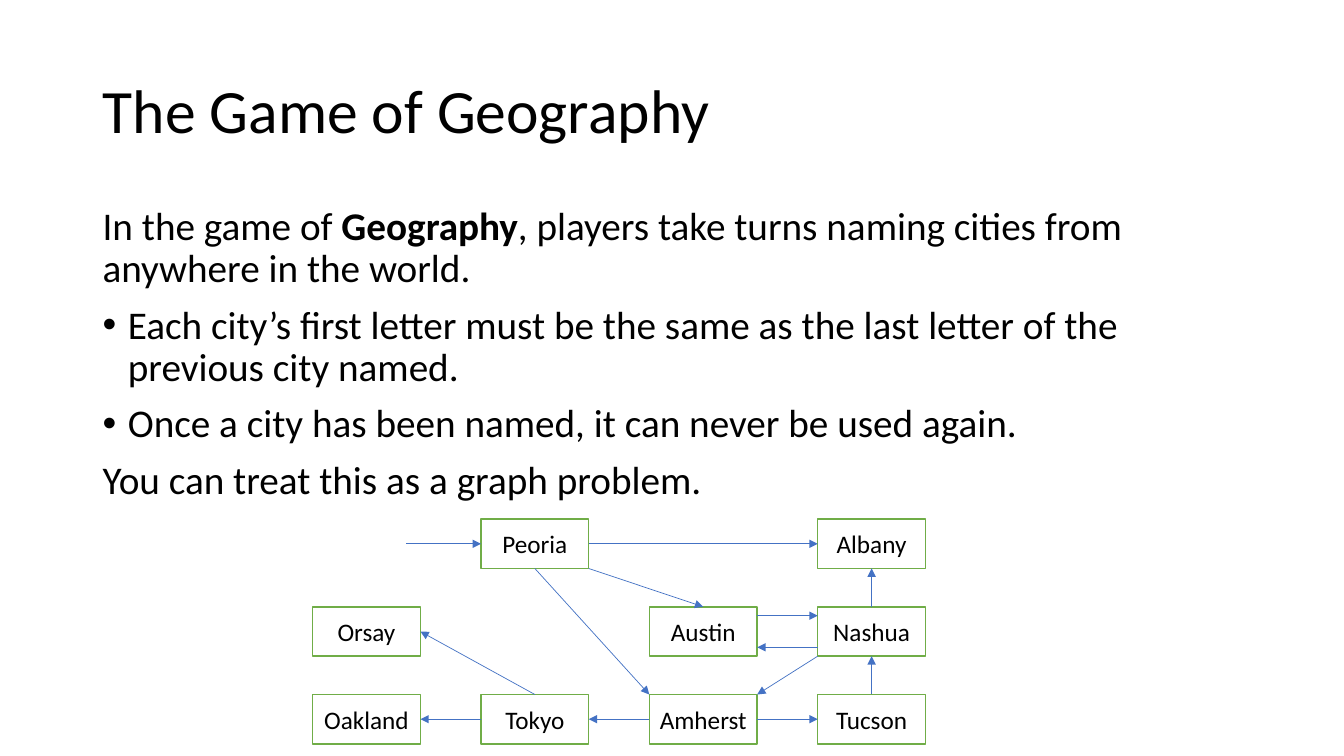
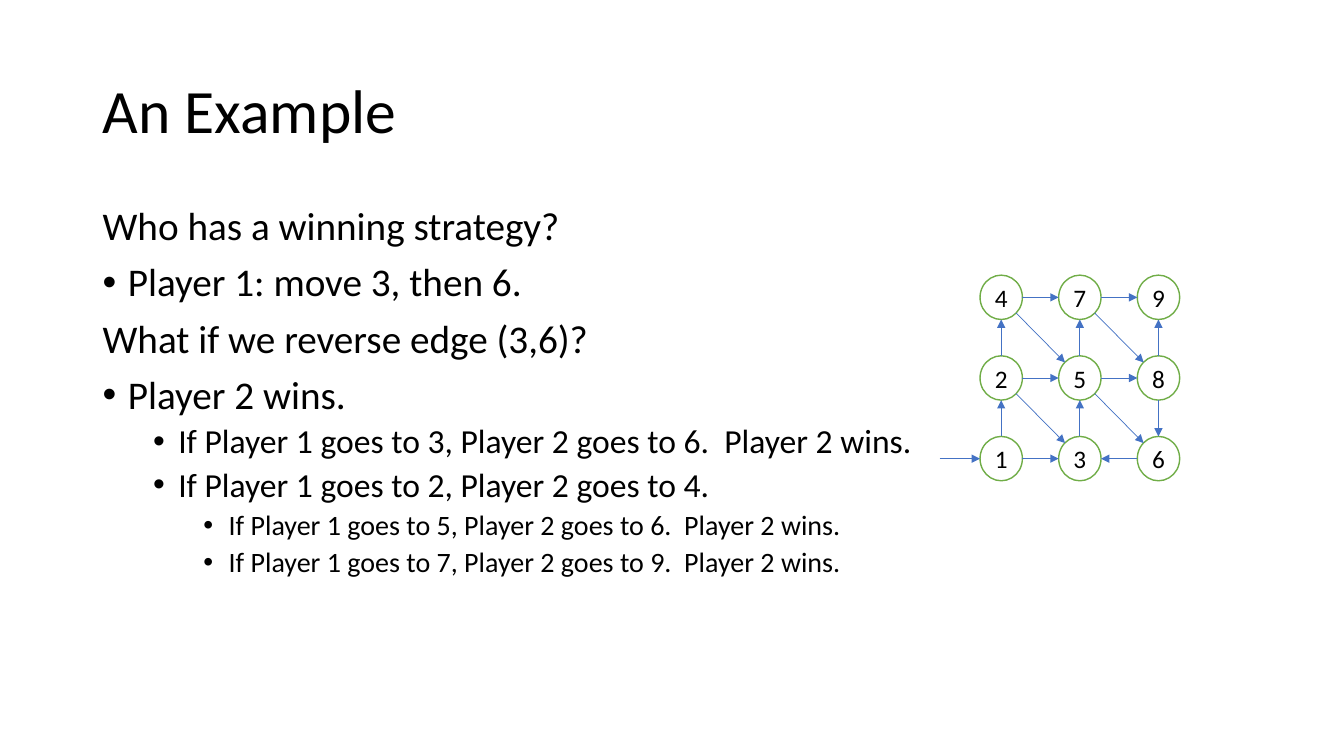
from typing import NamedTuple

from lxml import etree
from pptx import Presentation
from pptx.dml.color import RGBColor
from pptx.enum.shapes import MSO_CONNECTOR, MSO_SHAPE
from pptx.enum.text import MSO_ANCHOR, MSO_AUTO_SIZE, PP_ALIGN
from pptx.oxml.ns import qn
from pptx.util import Emu, Pt

BLACK = RGBColor(0x00, 0x00, 0x00)
WHITE = RGBColor(0xFF, 0xFF, 0xFF)
GREEN = RGBColor(0x70, 0xAD, 0x47)
BLUE = RGBColor(0x44, 0x72, 0xC4)
FONT = "Calibri"
EMU_PER_PX = 9144

TITLE_BOX = (92, 40, 1150, 145)
BULLET_HANG = 25
LEVEL_INDENT = 50
LEVEL_SIZES = (28, 24, 20)
LEVEL_SPACES = (10, 5, 5)

ANCHORS = {
    "top": (0.5, 0),
    "bottom": (0.5, 1),
    "left": (0, 0.5),
    "right": (1, 0.5),
    "upper left": (0, 0.18),
    "upper right": (1, 0.18),
    "lower left": (0, 0.82),
    "lower right": (1, 0.82),
    "corner top left": (0, 0),
    "corner top right": (1, 0),
    "corner bottom left": (0, 1),
    "corner bottom right": (1, 1),
    "arc top left": (0.15, 0.15),
    "arc bottom right": (0.85, 0.85),
}


class Grid(NamedTuple):
    preset: MSO_SHAPE
    left: int
    top: int
    column_step: int
    row_step: int
    width: int
    height: int


CITY_GRID = Grid(MSO_SHAPE.RECTANGLE, 310, 515, 167, 87, 107, 49)
CITY_ROWS = (
    (None, "Peoria", None, "Albany"),
    ("Orsay", None, "Austin", "Nashua"),
    ("Oakland", "Tokyo", "Amherst", "Tucson"),
)
CITY_EDGES = (
    ("Peoria", "right", "Albany", "left"),
    ("Peoria", "corner bottom right", "Austin", "top"),
    ("Peoria", "bottom", "Amherst", "corner top left"),
    ("Austin", "upper right", "Nashua", "upper left"),
    ("Nashua", "lower left", "Austin", "lower right"),
    ("Nashua", "top", "Albany", "bottom"),
    ("Tucson", "top", "Nashua", "bottom"),
    ("Nashua", "corner bottom left", "Amherst", "corner top right"),
    ("Amherst", "right", "Tucson", "left"),
    ("Amherst", "left", "Tokyo", "right"),
    ("Tokyo", "left", "Oakland", "right"),
    ("Tokyo", "top", "Orsay", "right"),
)

NUMBER_GRID = Grid(MSO_SHAPE.OVAL, 972, 273, 78, 80, 42, 44)
NUMBER_ROWS = (("4", "7", "9"), ("2", "5", "8"), ("1", "3", "6"))
RIGHTWARD = ("13", "25", "47", "58", "79")
LEFTWARD = ("63",)
UPWARD = ("12", "24", "35", "57", "89")
DOWNWARD = ("86",)
DIAGONAL = ("23", "45", "56", "78")
NUMBER_EDGES = [
    (pair[0], start, pair[1], end)
    for pairs, start, end in (
        (RIGHTWARD, "right", "left"),
        (LEFTWARD, "left", "right"),
        (UPWARD, "top", "bottom"),
        (DOWNWARD, "bottom", "top"),
        (DIAGONAL, "arc bottom right", "arc top left"),
    )
    for pair in pairs
]

GAME_TEXT = (
    (None, ["In the game of ", ("Geography",),
            ", players take turns naming cities from anywhere in the world."]),
    (0, ["Each city’s first letter must be the same as the last letter of the previous city named."]),
    (0, ["Once a city has been named, it can never be used again."]),
    (None, ["You can treat this as a graph problem."]),
)
EXAMPLE_TEXT = (
    (None, ["Who has a winning strategy?"]),
    (0, ["Player 1: move 3, then 6."]),
    (None, ["What if we reverse edge (3,6)?"]),
    (0, ["Player 2 wins."]),
    (1, ["If Player 1 goes to 3, Player 2 goes to 6.  Player 2 wins."]),
    (1, ["If Player 1 goes to 2, Player 2 goes to 4."]),
    (2, ["If Player 1 goes to 5, Player 2 goes to 6.  Player 2 wins."]),
    (2, ["If Player 1 goes to 7, Player 2 goes to 9.  Player 2 wins."]),
)


def px(length):
    return Emu(round(length * EMU_PER_PX))


def add_run(paragraph, text, size, bold=False):
    run = paragraph.add_run()
    run.text = text
    run.font.name = FONT
    run.font.size = Pt(size)
    run.font.bold = bold
    run.font.color.rgb = BLACK


def add_titled_slide(presentation, text):
    slide = presentation.slides.add_slide(presentation.slide_layouts[5])
    title = slide.shapes.title
    title.left, title.top, title.width, title.height = map(px, TITLE_BOX)
    frame = title.text_frame
    frame.auto_size = MSO_AUTO_SIZE.NONE
    frame.vertical_anchor = MSO_ANCHOR.MIDDLE
    paragraph = frame.paragraphs[0]
    paragraph.alignment = PP_ALIGN.LEFT
    paragraph.line_spacing = 0.9
    add_run(paragraph, text, 44)
    return slide


def add_bullet(paragraph, level):
    paragraph.level = level
    properties = paragraph._p.get_or_add_pPr()
    properties.set("marL", str(px(BULLET_HANG + level * LEVEL_INDENT)))
    properties.set("indent", str(px(-BULLET_HANG)))
    etree.SubElement(properties, qn("a:buFont")).set("typeface", "Arial")
    etree.SubElement(properties, qn("a:buChar")).set("char", "•")


def add_body(slide, height, content):
    frame = slide.shapes.add_textbox(px(92), px(200), px(1150), px(height)).text_frame
    frame.word_wrap = True
    for index, (bullet_level, pieces) in enumerate(content):
        paragraph = frame.add_paragraph() if index else frame.paragraphs[0]
        level = bullet_level or 0
        paragraph.line_spacing = 0.9
        paragraph.space_before = Pt(LEVEL_SPACES[level])
        if bullet_level is not None:
            add_bullet(paragraph, level)
        for piece in pieces:
            bold = isinstance(piece, tuple)
            add_run(paragraph, piece[0] if bold else piece, LEVEL_SIZES[level], bold)


def add_node(slide, grid, column, row, label):
    left = grid.left + column * grid.column_step
    top = grid.top + row * grid.row_step
    shape = slide.shapes.add_shape(
        grid.preset, px(left), px(top), px(grid.width), px(grid.height))
    shape.shadow.inherit = False
    shape.fill.solid()
    shape.fill.fore_color.rgb = WHITE
    shape.line.color.rgb = GREEN
    shape.line.width = Pt(1)
    frame = shape.text_frame
    frame.word_wrap = False
    frame.margin_left = frame.margin_right = 0
    frame.margin_top = frame.margin_bottom = 0
    frame.vertical_anchor = MSO_ANCHOR.MIDDLE
    frame.paragraphs[0].alignment = PP_ALIGN.CENTER
    add_run(frame.paragraphs[0], label, 18)
    return shape


def anchor_point(shape, anchor):
    across, down = ANCHORS[anchor]
    return (Emu(round(shape.left + across * shape.width)),
            Emu(round(shape.top + down * shape.height)))


def add_arrow(slide, start, end):
    connector = slide.shapes.add_connector(MSO_CONNECTOR.STRAIGHT, *start, *end)
    connector.line.color.rgb = BLUE
    connector.line.width = Pt(0.5)
    line = connector.line._get_or_add_ln()
    etree.SubElement(line, qn("a:tailEnd")).set("type", "triangle")
    etree.SubElement(connector._element.spPr, qn("a:effectLst"))


def add_graph(slide, grid, rows, edges, entry, entry_length):
    nodes = {
        label: add_node(slide, grid, column, row, label)
        for row, labels in enumerate(rows)
        for column, label in enumerate(labels)
        if label
    }
    entry_x, entry_y = anchor_point(nodes[entry], "left")
    add_arrow(slide, (entry_x - px(entry_length), entry_y), (entry_x, entry_y))
    for source, start, target, end in edges:
        add_arrow(slide, anchor_point(nodes[source], start),
                  anchor_point(nodes[target], end))


def main():
    presentation = Presentation()
    presentation.slide_width = px(1333)
    presentation.slide_height = px(750)

    game = add_titled_slide(presentation, "The Game of Geography")
    add_body(game, 306, GAME_TEXT)
    add_graph(game, CITY_GRID, CITY_ROWS, CITY_EDGES, "Peoria", 74)

    example = add_titled_slide(presentation, "An Example")
    add_body(example, 476, EXAMPLE_TEXT)
    add_graph(example, NUMBER_GRID, NUMBER_ROWS, NUMBER_EDGES, "1", 40)

    presentation.save("out.pptx")


if __name__ == "__main__":
    main()
